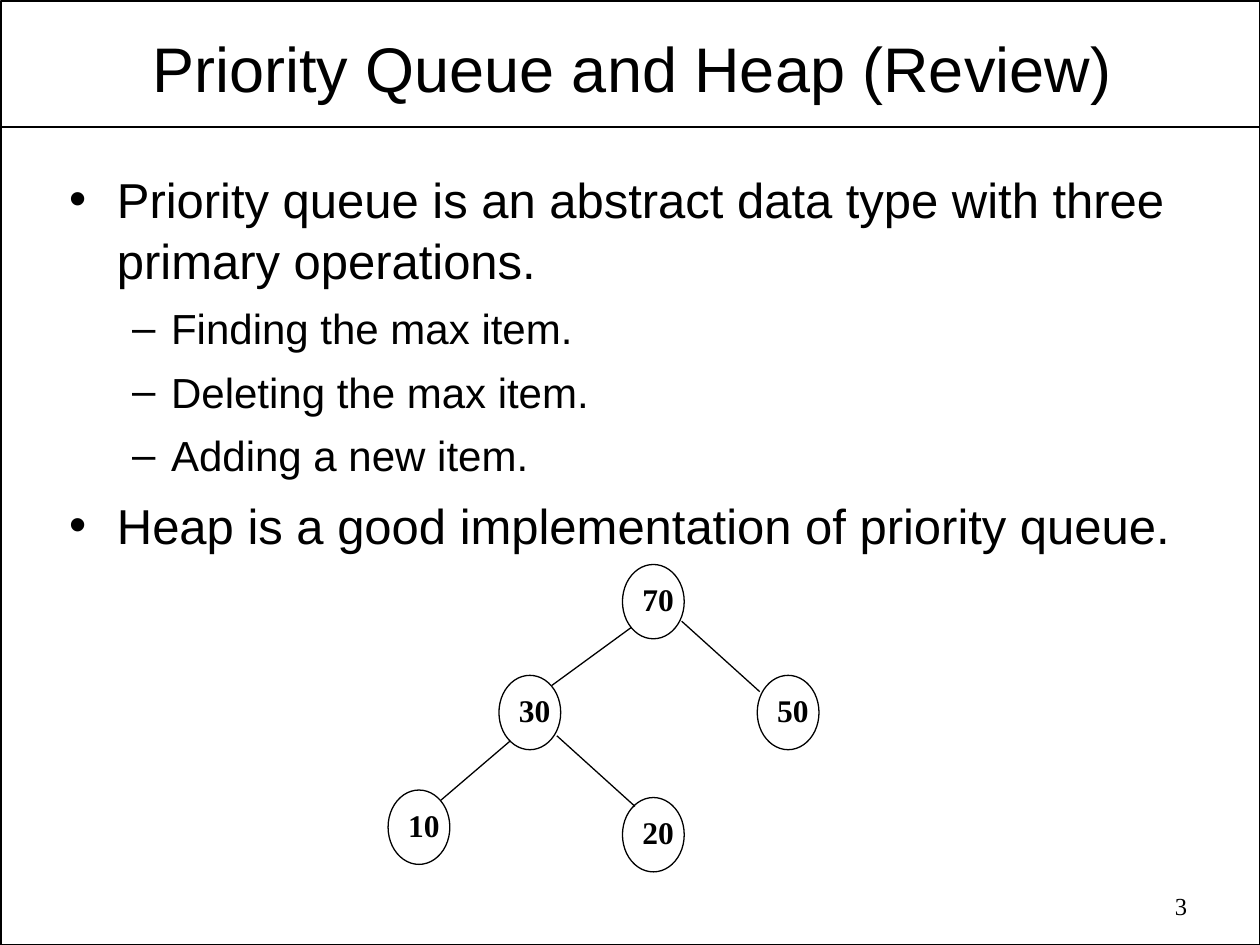
from lxml.etree import SubElement
from pptx import Presentation
from pptx.dml.color import RGBColor
from pptx.enum.shapes import MSO_CONNECTOR, MSO_SHAPE
from pptx.enum.text import MSO_ANCHOR, PP_ALIGN
from pptx.oxml.ns import qn
from pptx.util import Inches, Pt

BLACK = "000000"


def add_line(shapes, start, end, weight):
    line = shapes.add_connector(
        MSO_CONNECTOR.STRAIGHT, *[Inches(v) for v in (*start, *end)])
    line.line.color.rgb = RGBColor.from_string(BLACK)
    line.line.width = Pt(weight)
    SubElement(line._element.spPr, qn("a:effectLst"))


def add_run(paragraph, text, font_name, size, bold=False):
    paragraph.line_spacing = 1.05
    run = paragraph.add_run()
    run.text = text
    run.font.name = font_name
    run.font.size = Pt(size)
    run.font.bold = bold
    run.font.color.rgb = RGBColor.from_string(BLACK)


prs = Presentation()
prs.slide_width, prs.slide_height = Inches(10), Inches(7.5)
slide = prs.slides.add_slide(prs.slide_layouts[6])

# Page frame and the rule under the title
frame = slide.shapes.add_shape(
    MSO_SHAPE.RECTANGLE, Inches(0.01), Inches(0.01), Inches(9.99), Inches(7.49))
frame.shadow.inherit = False
frame.fill.background()
frame.line.color.rgb = RGBColor.from_string(BLACK)
frame.line.width = Pt(1)
add_line(slide.shapes, (0.01, 1.01), (9.99, 1.01), 1)

# Title
title = slide.shapes.add_textbox(
    Inches(0.53), Inches(0.19), Inches(8.97), Inches(0.66)).text_frame
title.word_wrap = True
title.vertical_anchor = MSO_ANCHOR.MIDDLE
title.margin_left = title.margin_right = Inches(0.07)
title.margin_top = title.margin_bottom = Inches(0.03)
title.paragraphs[0].alignment = PP_ALIGN.CENTER
add_run(title.paragraphs[0], "Priority Queue and Heap (Review)", "Arial", 36)

# Page number
page_number = slide.shapes.add_textbox(
    Inches(7.18), Inches(7.01), Inches(2.34), Inches(0.36)).text_frame
page_number.word_wrap = True
page_number.paragraphs[0].alignment = PP_ALIGN.RIGHT
add_run(page_number.paragraphs[0], "3", "Times New Roman", 14)

# Heap: value, left and top of each node
nodes = [
    ("70", 4.94, 4.48),
    ("30", 3.96, 5.36),
    ("50", 6.01, 5.36),
    ("10", 3.08, 6.27),
    ("20", 4.94, 6.33),
]
edges = [
    ((5.01, 4.98), (4.38, 5.44)),
    ((5.41, 4.93), (6.03, 5.49)),
    ((4.05, 5.88), (3.5, 6.35)),
    ((4.42, 5.84), (5.04, 6.4)),
]
heap = slide.shapes.add_group_shape().shapes
for value, left, top in nodes:
    label = heap.add_textbox(
        Inches(left + 0.06), Inches(top + 0.06), Inches(0.45), Inches(0.4)).text_frame
    label.word_wrap = False
    add_run(label.paragraphs[0], value, "Times New Roman", 18, bold=True)
    node = heap.add_shape(
        MSO_SHAPE.OVAL, Inches(left), Inches(top), Inches(0.49), Inches(0.59))
    node.shadow.inherit = False
    node.fill.background()
    node.line.color.rgb = RGBColor.from_string(BLACK)
    node.line.width = Pt(0.75)
for parent_end, child_end in edges:
    add_line(heap, parent_end, child_end, 0.75)

# Bulleted text: mark, indent, hanging, size and space before for each level
levels = [("•", 0.38, 0.38, 28, 7), ("–", 0.81, 0.31, 24, 6)]
points = [
    (0, "Priority queue is an abstract data type with three primary operations."),
    (1, "Finding the max item."),
    (1, "Deleting the max item."),
    (1, "Adding a new item."),
    (0, "Heap is a good implementation of priority queue."),
]
body = slide.shapes.add_textbox(
    Inches(0.45), Inches(1.27), Inches(9.3), Inches(3.14)).text_frame
body.word_wrap = True
for index, (level, text) in enumerate(points):
    mark, indent, hanging, size, space_before = levels[level]
    point = body.add_paragraph() if index else body.paragraphs[0]
    point.level = level
    properties = point._p.get_or_add_pPr()
    properties.set("marL", str(Inches(indent)))
    properties.set("indent", str(-Inches(hanging)))
    SubElement(properties, qn("a:buFont"), typeface="Arial")
    SubElement(properties, qn("a:buChar"), char=mark)
    if index:
        point.space_before = Pt(space_before)
    add_run(point, text, "Arial", size)

prs.save("out.pptx")
